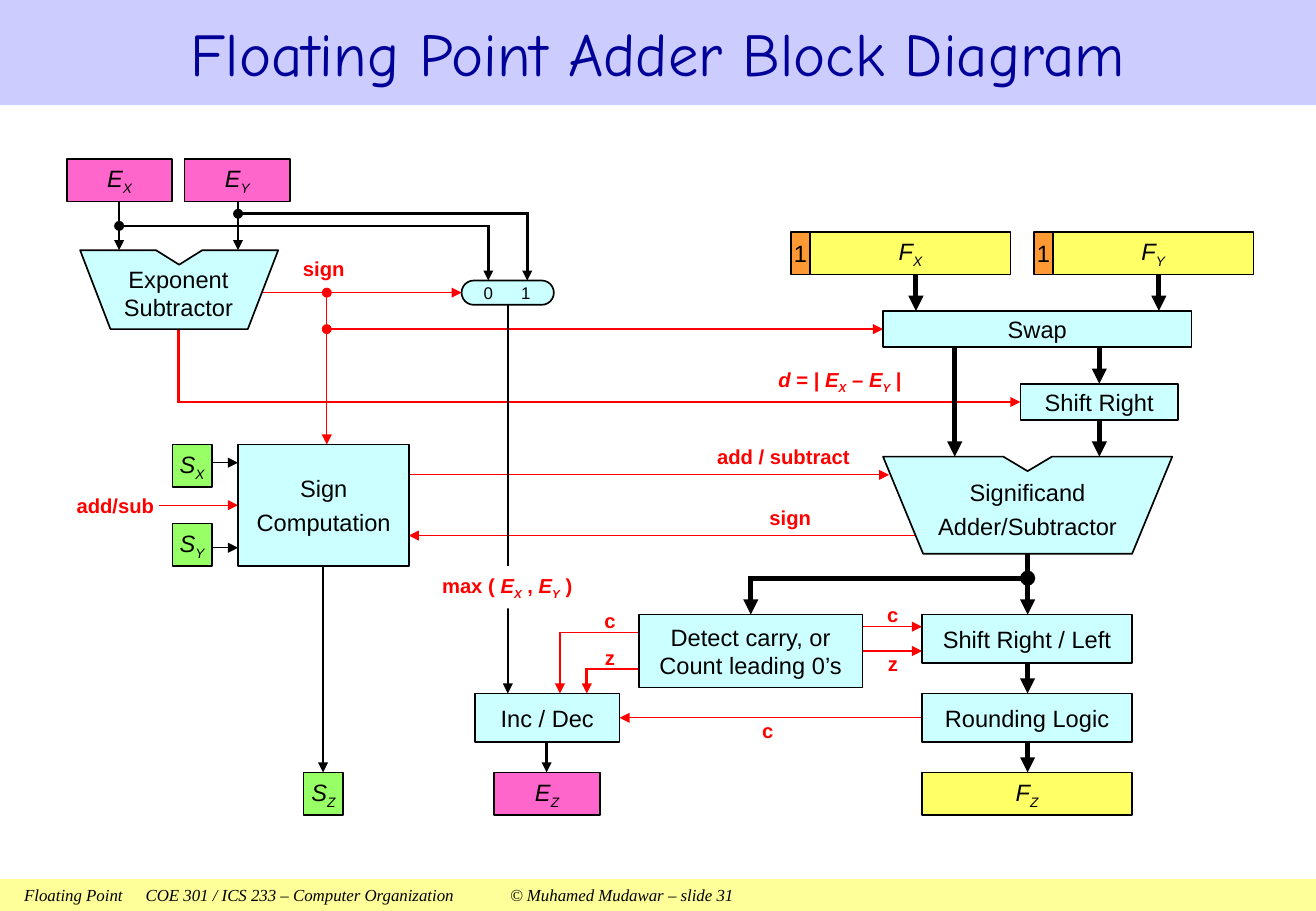
from dataclasses import dataclass
from typing import Any

from lxml import etree
from pptx import Presentation
from pptx import util as u
from pptx.dml.color import RGBColor
from pptx.enum import shapes, text
from pptx.oxml import ns


@dataclass(frozen=True)
class Theme:
    black: str = "000000"
    red: str = "FF0000"
    white: str = "FFFFFF"
    cyan: str = "CCFFFF"
    pink: str = "FF66CC"
    yellow: str = "FFFF66"
    green: str = "99FF66"
    orange: str = "FF9933"
    title_band: str = "CCCCFF"
    title_ink: str = "000099"
    footer_band: str = "FFFF99"
    body_font: str = "Arial"
    title_font: str = "Comic Neue"
    footer_font: str = "Times New Roman"
    title_size: float = 36
    block_size: float = 14
    label_size: float = 12
    small_size: float = 10
    outline: float = 1
    thin: float = 0.75
    medium: float = 1.5
    thick: float = 3


T = Theme()


@dataclass(frozen=True)
class Span:
    text: str
    italic: bool = False
    subscript: bool = False


Line = tuple[Span, ...]
Point = tuple[float, float]


def plain(*lines: str) -> tuple[Line, ...]:
    return tuple((Span(line),) for line in lines)


def symbol(letter: str, index: str) -> Line:
    """An italic letter with an italic subscript."""
    return Span(letter, True), Span(index, True, True)


@dataclass(frozen=True)
class Box:
    left: float
    top: float
    width: float
    height: float
    lines: tuple[Line, ...] = ()
    fill: str | None = T.cyan
    line: str | None = T.black
    kind: Any = shapes.MSO_SHAPE.RECTANGLE
    font: str = T.body_font
    size: float = T.block_size
    ink: str = T.black
    bold: bool = False
    gap: float = 0


@dataclass(frozen=True)
class Wire:
    points: tuple[Point, ...]
    color: str = T.black
    width: float = T.thin
    dot: bool = False


@dataclass(frozen=True)
class Adder:
    """A trapezoid, narrower at the bottom, with a notch in its top edge."""
    left: float
    top: float
    width: float
    height: float
    slant: float
    notch: float


def label(left: float, top: float, width: float, height: float,
          *spans: Span, fill: str | None = None) -> Box:
    return Box(left, top, width, height, (spans,), fill, None,
               size=T.label_size, ink=T.red, bold=True)


def write(box: Any, item: Box) -> None:
    frame = box.text_frame
    layout = {"word_wrap": True, "vertical_anchor": text.MSO_ANCHOR.MIDDLE, "margin_left": 0,
              "margin_right": 0, "margin_top": 0, "margin_bottom": 0}
    for name, value in layout.items():
        setattr(frame, name, value)
    for number, line in enumerate(item.lines):
        para = frame.add_paragraph() if number else frame.paragraphs[0]
        para.alignment = text.PP_ALIGN.CENTER
        if number:
            para.space_before = u.Pt(item.gap)
        for piece in line:
            span = para.add_run()
            span.text = piece.text
            style = {"name": item.font, "size": u.Pt(item.size),
                     "bold": item.bold, "italic": piece.italic}
            for name, value in style.items():
                setattr(span.font, name, value)
            span.font.color.rgb = RGBColor.from_string(item.ink)
            if piece.subscript:
                span.font._element.set("baseline", "-25000")


def paint(shape: Any, fill: str | None, line: str | None, width: float = T.outline) -> None:
    shape.shadow.inherit = False
    for part, color in ((shape.fill, fill), (shape.line.fill, line)):
        if color:
            part.solid()
            part.fore_color.rgb = RGBColor.from_string(color)
        else:
            part.background()
    if line:
        shape.line.width = u.Pt(width)


def draw_box(page: Any, item: Box) -> Any:
    place = [u.Pt(n) for n in (item.left, item.top, item.width, item.height)]
    if item.fill or item.line:
        box = page.shapes.add_shape(item.kind, *place)
        paint(box, item.fill, item.line)
        if item.kind == shapes.MSO_SHAPE.ROUNDED_RECTANGLE:
            box.adjustments[0] = 0.5
    else:
        box = page.shapes.add_textbox(*place)
    write(box, item)
    return box


def outline(page: Any, points: tuple[Point, ...], close: bool) -> Any:
    first, *rest = [(u.Pt(x), u.Pt(y)) for x, y in points]
    builder = page.shapes.build_freeform(*first)
    builder.add_line_segments(rest, close=close)
    return builder.convert_to_shape()


def draw_wire(page: Any, wire: Wire) -> None:
    if len(wire.points) == 2:
        ends = [u.Pt(n) for point in wire.points for n in point]
        shape = page.shapes.add_connector(shapes.MSO_CONNECTOR.STRAIGHT, *ends)
        shape.line.color.rgb = RGBColor.from_string(wire.color)
        shape.line.width = u.Pt(wire.width)
        etree.SubElement(shape._element.spPr, ns.qn("a:effectLst"))
    else:
        shape = outline(page, wire.points, False)
        paint(shape, None, wire.color, wire.width)
    stroke = shape.line._get_or_add_ln()
    etree.SubElement(stroke, ns.qn("a:miter"), lim="800000")
    if wire.dot:
        etree.SubElement(stroke, ns.qn("a:headEnd"), type="oval")
    etree.SubElement(stroke, ns.qn("a:tailEnd"), type="triangle")


def draw_adder(page: Any, adder: Adder) -> None:
    right, bottom = adder.left + adder.width, adder.top + adder.height
    middle = adder.left + adder.width / 2
    points = ((adder.left + adder.slant, bottom), (adder.left, adder.top),
              (middle - adder.notch, adder.top), (middle, adder.top + 8.6),
              (middle + adder.notch, adder.top), (right, adder.top),
              (right - adder.slant, bottom))
    paint(outline(page, points, True), T.cyan, T.black)


def draw_footer(page: Any) -> None:
    words = "Floating Point\tCOE 301 / ICS 233 – Computer Organization\t© Muhamed Mudawar – slide 31"
    box = draw_box(page, Box(0, 521, 780, 19, ((Span(words, True),),), T.footer_band, None,
                             font=T.footer_font, size=T.small_size))
    box.text_frame.margin_left = u.Pt(7.2)
    para = box.text_frame.paragraphs[0]
    para.alignment = text.PP_ALIGN.LEFT
    para._p.get_or_add_pPr().set("marL", str(u.Pt(7.2)))


EX, EY = symbol("E", "X"), symbol("E", "Y")
WIRES = [
    *(Wire(points, T.red) for points in (
        ((542.9, 317.5), (242.3, 317.5)), ((242.3, 281.5), (527, 281.5)),
        ((152.6, 173.5), (273.6, 173.5)), ((94.3, 299.5), (141.1, 299.5)),
        ((546.5, 425.5), (367.2, 425.5)), ((511.2, 371.5), (546.5, 371.5)),
        ((378.7, 375.1), (331.9, 375.1), (331.9, 411.1)))),
    *(Wire(points, T.red, T.medium) for points in (
        ((105.8, 195.1), (105.8, 238.3), (604.8, 238.3)), ((511.2, 385.9), (546.5, 385.9)),
        ((378.7, 396.7), (347.8, 396.7), (347.8, 411.1)))),
    Wire(((193.7, 173.5), (193.7, 195.1), (523.4, 195.1)), T.red, dot=True),
    Wire(((193.7, 195.1), (193.7, 263.5)), T.red, dot=True),
    *(Wire(points) for points in (
        ((125.6, 274.3), (141.1, 274.3)), ((125.6, 324.7), (141.1, 324.7)),
        ((191.5, 335.5), (191.5, 457.9)))),
    *(Wire(((x, top), (x, bottom)), width=T.medium) for x, top, bottom in (
        (70.6, 119.5, 148.3), (141.1, 119.5, 148.3), (301, 180.7, 411.1), (324, 439.9, 457.9))),
    Wire(((70.6, 133.9), (289.4, 133.9), (289.4, 166.3)), width=T.medium, dot=True),
    Wire(((141.1, 126.7), (312.5, 126.7), (312.5, 166.3)), width=T.medium, dot=True),
    *(Wire(((x, top), (x, bottom)), width=T.thick) for x, top, bottom in (
        (542.9, 162.7, 184.3), (686.9, 162.7, 184.3), (651.6, 205.9, 227.5),
        (651.6, 249.1, 270.7), (565.9, 205.9, 270.7), (609.1, 328.3, 364.3),
        (609.1, 393.1, 411.1), (609.1, 439.9, 457.9))),
    Wire(((609.1, 342.7), (445, 342.7), (445, 364.3)), width=T.thick, dot=True),
]
ADDERS = [Adder(47.5, 148.3, 117.4, 46.8, 18, 13.7), Adder(523.4, 270.7, 171.4, 57.6, 23.8, 14.4)]
REGISTERS = [Box(left, top, width, 25.2, (symbol(letter, index),), fill)
             for left, top, width, letter, index, fill in (
    (39.6, 94.3, 62.6, "E", "X", T.pink), (109.4, 94.3, 62.6, "E", "Y", T.pink),
    (293, 457.9, 62.6, "E", "Z", T.pink), (480.2, 137.5, 118.8, "F", "X", T.yellow),
    (624.2, 137.5, 118.8, "F", "Y", T.yellow), (546.5, 457.9, 124.6, "F", "Z", T.yellow),
    (102.2, 263.5, 23.4, "S", "X", T.green), (102.2, 310.3, 23.4, "S", "Y", T.green),
    (180, 457.9, 23.4, "S", "Z", T.green))]
BLOCKS = [
    *(Box(left, 137.5, 11.5, 25.2, plain("1"), T.orange) for left in (468.7, 612.7)),
    Box(523.4, 184.3, 182.9, 21.6, plain("Swap")),
    Box(604.8, 227.5, 93.6, 21.6, plain("Shift Right")),
    Box(546.5, 364.3, 124.6, 28.8, plain("Shift Right / Left")),
    Box(546.5, 411.1, 124.6, 28.8, plain("Rounding Logic")),
    Box(281.5, 411.1, 85.7, 28.8, plain("Inc / Dec")),
    Box(378.7, 364.3, 132.5, 43.2, plain("Detect carry, or", "Count leading 0’s")),
    Box(141.1, 263.5, 101.5, 72, plain("Sign", "Computation"), gap=3),
    Box(65.5, 157, 80.6, 33.8, plain("Exponent", "Subtractor"), None, None),
    Box(540, 280.8, 138.2, 41.8, plain("Significand", "Adder/Subtractor"), None, None, gap=3),
    Box(273.6, 166.3, 54.7, 14.4, kind=shapes.MSO_SHAPE.ROUNDED_RECTANGLE),
    *(Box(left, 166.3, 14, 14.4, plain(digit), None, None, size=T.small_size)
      for left, digit in ((282.4, "0"), (304.7, "1"))),
]
LABELS = [
    *(label(left, top, 27.4, 14.4, Span(flag)) for left, top, flag in (
        (515.5, 357.1, "c"), (515.5, 385.9, "z"), (347.8, 360.7, "c"),
        (347.8, 382.3, "z"), (441.4, 425.5, "c"))),
    *(label(left, top, width, 21.6, Span(name)) for left, top, width, name in (
        (176.4, 148.3, 31, "sign"), (452.9, 295.9, 31, "sign"),
        (417.6, 259.9, 93.6, "add / subtract"), (43.2, 288.7, 50.4, "add/sub"))),
    label(452.9, 213.1, 90, 25.2, Span("d", True), Span(" = | "), *EX, Span(" – "), *EY, Span(" |")),
    label(257.8, 335.5, 85.7, 25.2, Span("max ( "), *EX, Span(" , "), *EY, Span(" )"), fill=T.white),
]


def main() -> None:
    deck = Presentation()
    deck.slide_width, deck.slide_height = u.Pt(780), u.Pt(540)
    page = deck.slides.add_slide(deck.slide_layouts[6])
    draw_footer(page)
    draw_box(page, Box(0, 0, 780, 62.4, plain("Floating Point Adder Block Diagram"), T.title_band,
                       None, font=T.title_font, size=T.title_size, ink=T.title_ink))
    for wire in WIRES:
        draw_wire(page, wire)
    for adder in ADDERS:
        draw_adder(page, adder)
    for item in REGISTERS + BLOCKS + LABELS:
        draw_box(page, item)
    deck.save("out.pptx")


if __name__ == "__main__":
    main()
